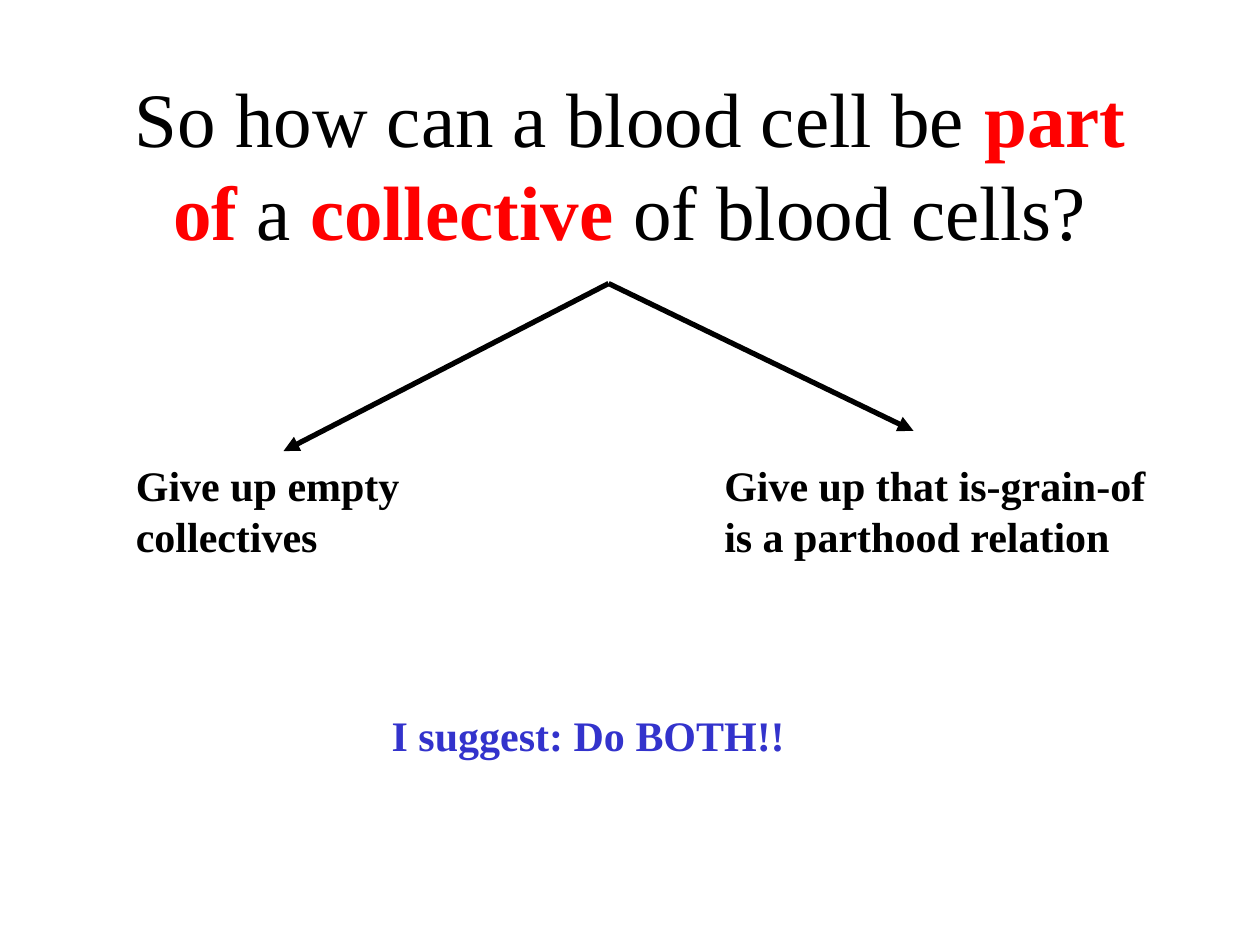
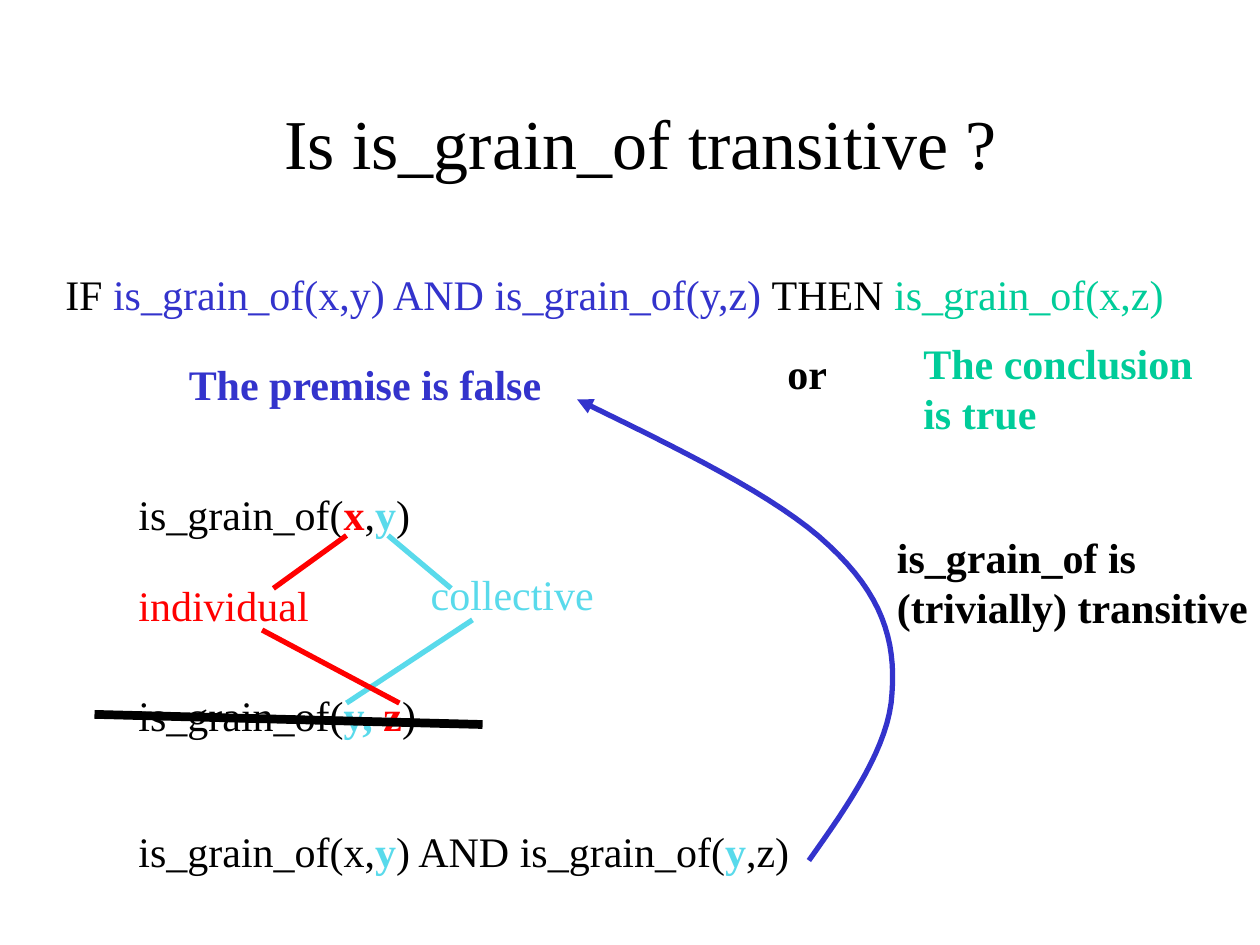
from lxml import etree
from pptx import Presentation
from pptx.dml.color import RGBColor
from pptx.enum.shapes import MSO_CONNECTOR
from pptx.enum.text import MSO_ANCHOR, MSO_AUTO_SIZE, PP_ALIGN
from pptx.oxml.ns import qn
from pptx.util import Inches, Pt

STRAIGHT = MSO_CONNECTOR.STRAIGHT
MIDDLE = MSO_ANCHOR.MIDDLE
CENTER = PP_ALIGN.CENTER
NO_FIT = MSO_AUTO_SIZE.NONE

FONT = "Times New Roman"
BODY_SIZE = 24
BLACK, RED, BLUE = "000000", "FF0000", "3333CC"
GREEN, CYAN = "00CC99", "59DAEB"
BOLD = True

# Text is a list of paragraphs; a paragraph is a list of (text, colour[, bold]).
# Labels: (left, top, width, height, paragraphs)
# Lines: (start, end, colour, points, has arrowhead)
FORK = (4.83, 2.25)
QUESTION = {
    "title": [[("So how can a blood cell be ", BLACK), ("part of", RED, BOLD),
               (" a ", BLACK), ("collective", RED, BOLD),
               (" of blood cells?", BLACK)]],
    "title_at": (0.75, 0.67, 8.5, 1.25),
    "title_size": 44,
    "labels": [
        (0.98, 3.6, 2.29, 0.9, [[("Give up empty", BLACK, BOLD)],
                                [("collectives", BLACK, BOLD)]]),
        (5.65, 3.6, 3.54, 0.9, [[("Give up that is-grain-of", BLACK, BOLD)],
                                [("is a parthood relation", BLACK, BOLD)]]),
        (3.01, 5.58, 3.32, 0.5, [[("I suggest: Do BOTH!!", BLUE, BOLD)]]),
    ],
    "lines": [
        (FORK, (2.25, 3.58), BLACK, 3, True),
        (FORK, (7.25, 3.42), BLACK, 3, True),
    ],
}
TRANSITIVITY = {
    "title": [[("Is is_grain_of transitive ?", BLACK)]],
    "title_at": (0.17, 0.5, 9.83, 1.25),
    "title_size": 40,
    "labels": [
        (0.42, 2.08, 9.04, 0.5, [[
            ("IF ", BLACK), ("is_grain_of(x,y) AND is_grain_of(y,z) ", BLUE),
            ("THEN ", BLACK), ("is_grain_of(x,z)", GREEN)]]),
        (1.4, 2.8, 3, 0.5, [[("The premise is false", BLUE, BOLD)]]),
        (6.15, 2.71, 0.51, 0.5, [[("or", BLACK, BOLD)]]),
        (7.23, 2.63, 2.34, 0.9, [[("The conclusion", GREEN, BOLD)],
                                 [("is true", GREEN, BOLD)]]),
        (1, 3.83, 2.35, 0.5, [[
            ("is_grain_of(", BLACK), ("x", RED, BOLD), (",", BLACK),
            ("y", CYAN, BOLD), (")", BLACK)]]),
        (1, 4.55, 1.55, 0.5, [[("individual", RED)]]),
        (3.32, 4.46, 1.49, 0.5, [[("collective", CYAN)]]),
        (1, 5.42, 2.42, 0.5, [[
            ("is_grain_of(", BLACK), ("y, ", CYAN, BOLD), ("z", RED, BOLD),
            (")", BLACK)]]),
        (1, 6.5, 5.38, 0.5, [[
            ("is_grain_of(x,", BLACK), ("y", CYAN, BOLD),
            (") AND is_grain_of(", BLACK), ("y", CYAN, BOLD), (",z)", BLACK)]]),
        (7.02, 4.17, 2.98, 0.9, [[("is_grain_of is", BLACK, BOLD)],
                                 [("(trivially) transitive", BLACK, BOLD)]]),
    ],
    "lines": [
        ((2.17, 4.67), (2.75, 4.25), RED, 3, False),
        ((3.58, 4.67), (3.08, 4.25), CYAN, 3, False),
        ((3.75, 4.92), (2.75, 5.58), CYAN, 3, False),
        ((2.08, 5), (3.17, 5.58), RED, 3, False),
        ((0.75, 5.67), (3.83, 5.75), BLACK, 5, False),
    ],
}
# Bezier arcs of the arrow back to the premise: each starts where the last ended
PREMISE_START = (6.42, 6.83)
PREMISE_ARCS = [
    ((6.74, 6.38), (7.06, 5.92), (7.08, 5.5)),
    ((7.11, 5.08), (7, 4.72), (6.58, 4.33)),
    ((6.17, 3.94), (5.38, 3.56), (4.58, 3.17)),
]
STEPS_PER_ARC = 16


def rgb(colour):
    return RGBColor.from_string(colour)


def write_text(frame, paragraphs, size):
    frame.word_wrap, frame.auto_size = True, NO_FIT
    for index, spans in enumerate(paragraphs):
        para = frame.paragraphs[0] if index == 0 else frame.add_paragraph()
        para.font.name, para.font.size = FONT, Pt(size)
        for text, colour, *bold in spans:
            span = para.add_run()
            span.text = text
            span.font.color.rgb = rgb(colour)
            span.font.bold = bool(bold)


def add_title(page, content):
    title = page.shapes.title
    title.left, title.top, title.width, title.height = map(Inches, content["title_at"])
    frame = title.text_frame
    frame.vertical_anchor = MIDDLE
    write_text(frame, content["title"], content["title_size"])
    frame.paragraphs[0].alignment = CENTER


def add_label(page, left, top, width, height, paragraphs):
    box = page.shapes.add_textbox(*map(Inches, (left, top, width, height)))
    box.text_frame.margin_right = 0  # spare room keeps each paragraph on one line
    write_text(box.text_frame, paragraphs, BODY_SIZE)


def style_line(shape, colour, points, arrow):
    shape.line.color.rgb = rgb(colour)
    shape.line.width = Pt(points)
    if arrow:
        outline = shape.line._get_or_add_ln()
        etree.SubElement(outline, qn("a:tailEnd"), type="triangle")


def add_line(page, start, end, colour, points, arrow):
    line = page.shapes.add_connector(STRAIGHT, *map(Inches, start + end))
    style_line(line, colour, points, arrow)
    etree.SubElement(line._element.spPr, qn("a:effectLst"))


def bezier_point(p0, p1, p2, p3, t):
    s = 1 - t
    return tuple(Inches(s**3 * a + 3 * s * s * t * b + 3 * s * t * t * c + t**3 * d)
                 for a, b, c, d in zip(p0, p1, p2, p3))


def add_premise_arrow(page):
    points, start = [], PREMISE_START
    for arc in PREMISE_ARCS:
        points += [bezier_point(start, *arc, step / STEPS_PER_ARC)
                   for step in range(1, STEPS_PER_ARC + 1)]
        start = arc[-1]
    builder = page.shapes.build_freeform(*map(Inches, PREMISE_START))
    builder.add_line_segments(points, close=False)
    curve = builder.convert_to_shape()
    curve.shadow.inherit = False
    curve.fill.background()
    style_line(curve, BLUE, 3, True)


def add_page(deck, content):
    page = deck.slides.add_slide(deck.slide_layouts.get_by_name("Title Only"))
    add_title(page, content)
    for label in content["labels"]:
        add_label(page, *label)
    for line in content["lines"]:
        add_line(page, *line)
    return page


def main():
    deck = Presentation()
    deck.slide_width, deck.slide_height = Inches(10), Inches(7.5)
    add_page(deck, QUESTION)
    add_premise_arrow(add_page(deck, TRANSITIVITY))
    deck.save("out.pptx")


if __name__ == "__main__":
    main()
